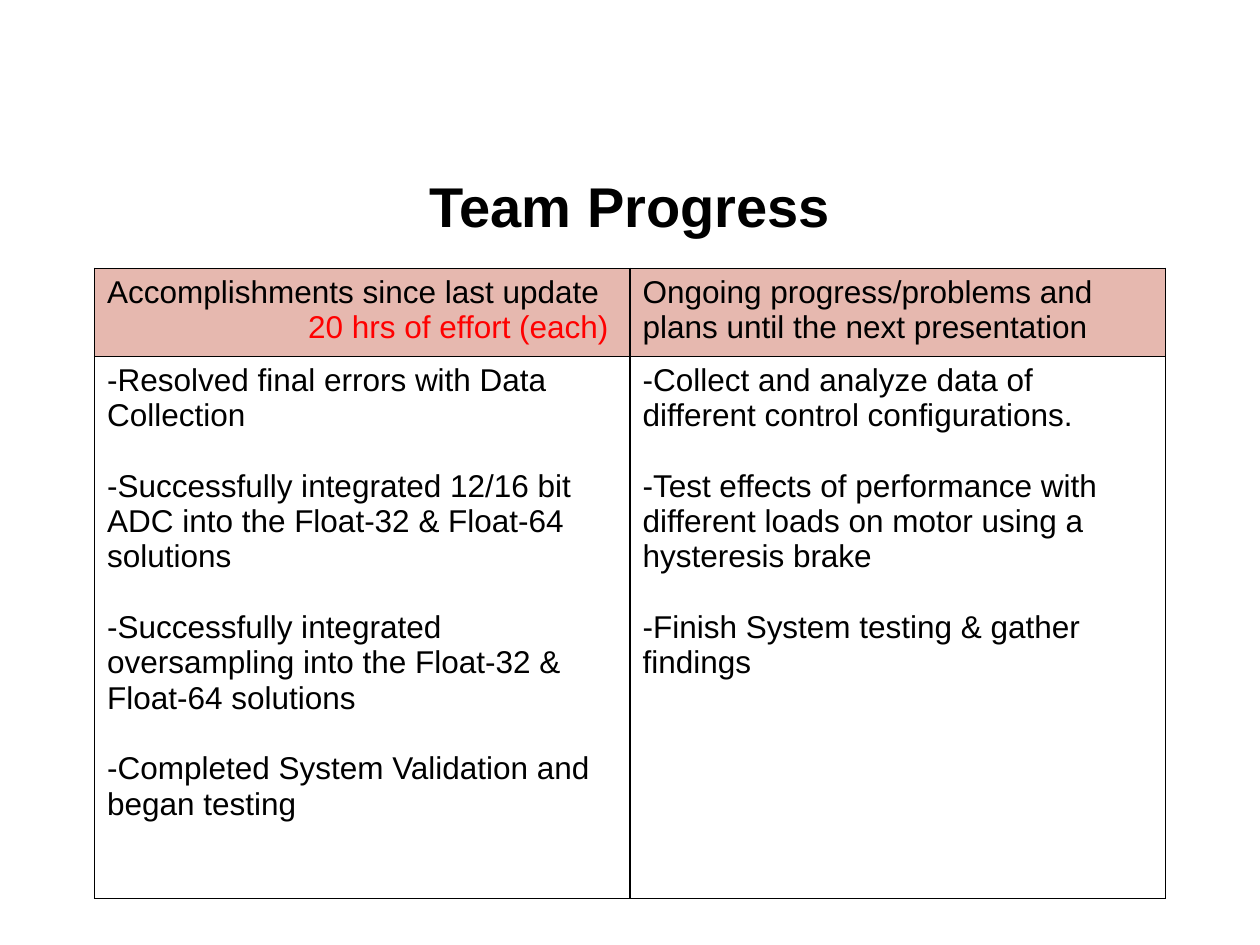
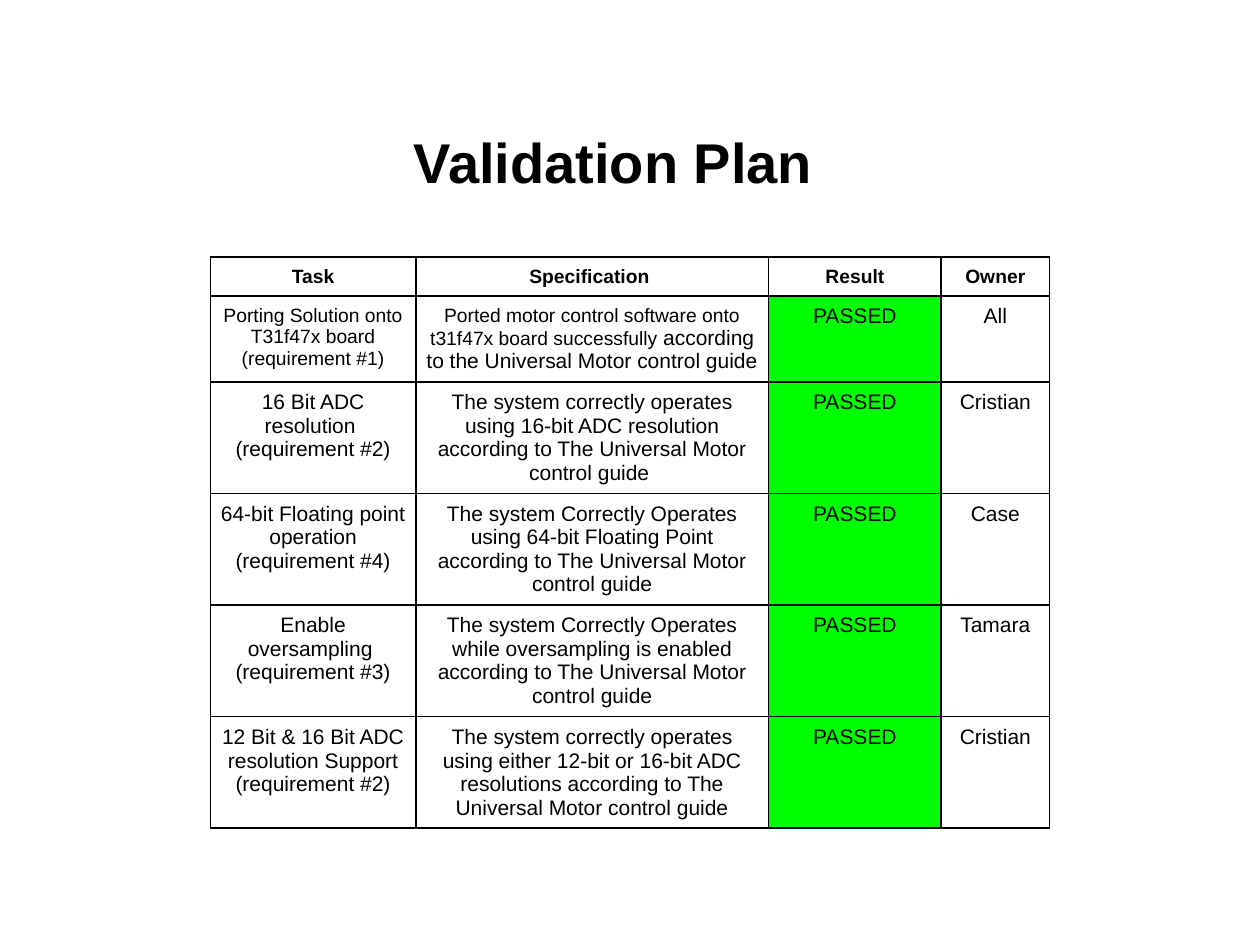
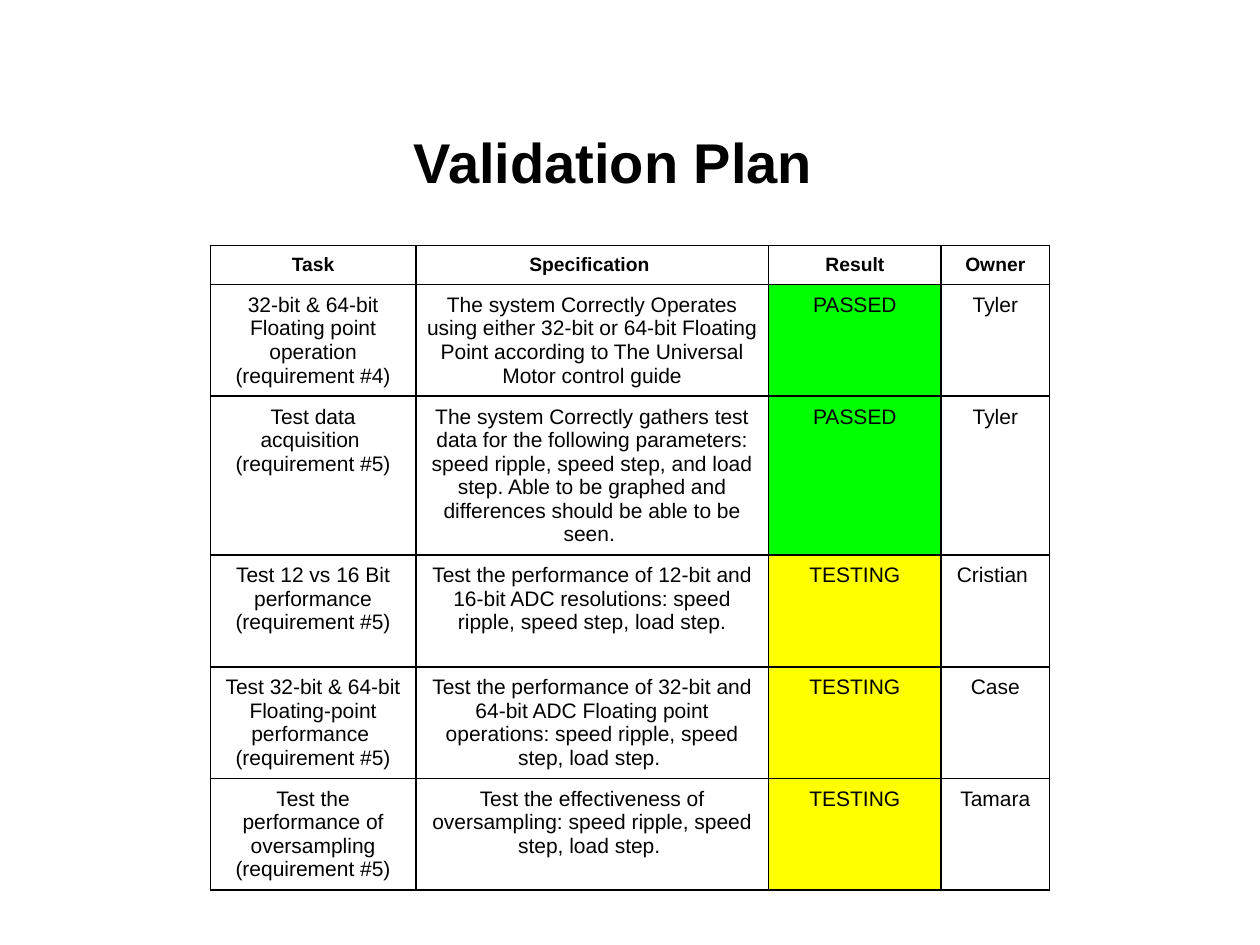
"""Build three project status slides: team progress and the validation plan."""
from dataclasses import dataclass

from lxml import etree
from pptx import Presentation
from pptx.dml.color import RGBColor
from pptx.enum.text import MSO_ANCHOR, PP_ALIGN
from pptx.oxml.ns import qn
from pptx.util import Inches, Pt

LEFT, CENTER, RIGHT = PP_ALIGN.LEFT, PP_ALIGN.CENTER, PP_ALIGN.RIGHT
MIDDLE = MSO_ANCHOR.MIDDLE
TITLE_ONLY = 5
FONT = "Arial"
COLORS = {
    "text": "000000",
    "border": "000000",
    "effort": "FF0000",
    "heading": "E6B8AF",
    "PASSED": "00FF00",
    "TESTING": "FFFF00",
}
PLAN_COLUMNS = [1.63, 2.8, 1.37, 0.86]
PLAN_HEADINGS = ["Task", "Specification ", "Result", "Owner"]
PLAN_MARGIN = 5 / 72
HEADING_HEIGHT = 0.3

ACCOMPLISHMENTS = [
    "-Resolved final errors with Data Collection",
    "-Successfully integrated 12/16 bit ADC into the Float-32 & Float-64 solutions",
    "-Successfully integrated oversampling into the Float-32 & Float-64 solutions",
    "-Completed System Validation and began testing",
]
ONGOING = [
    "-Collect and analyze data of different control configurations.",
    "-Test effects of performance with different loads on motor using a hysteresis brake",
    "-Finish System testing & gather findings",
]


@dataclass
class Check:
    """One row of the validation plan; lead is small text before the specification."""
    task: str
    requirement: int
    specification: str
    result: str
    owner: str
    height: float = 0.88
    task_size: int = 12
    lead: str = ""


FIRST_CHECKS = [
    Check("Porting Solution onto T31f47x board", 1,
          "according to the Universal Motor control guide ", "PASSED", "All",
          height=0.68, task_size=11,
          lead="Ported motor control software onto t31f47x board successfully "),
    Check("16 Bit ADC resolution ", 2,
          "The system correctly operates using 16-bit ADC resolution "
          "according to The Universal Motor control guide ", "PASSED", "Cristian"),
    Check("64-bit Floating point operation", 4,
          "The system Correctly Operates using 64-bit Floating Point "
          "according to The Universal Motor control guide", "PASSED", "Case"),
    Check("Enable oversampling ", 3,
          "The system Correctly Operates while oversampling is enabled "
          "according to The Universal Motor control guide", "PASSED", "Tamara"),
    Check("12 Bit & 16 Bit ADC resolution Support", 2,
          "The system correctly operates using either 12-bit or 16-bit ADC resolutions "
          "according to The Universal Motor control guide", "PASSED", "Cristian"),
]
LATER_CHECKS = [
    Check("32-bit & 64-bit Floating point operation", 4,
          "The system Correctly Operates using either 32-bit or 64-bit Floating Point "
          "according to The Universal Motor control guide", "PASSED", "Tyler"),
    Check("Test data acquisition ", 5,
          "The system Correctly gathers test data for the following parameters: "
          "speed ripple, speed step, and load step. Able to be graphed and "
          "differences should be able to be seen. ", "PASSED", "Tyler", height=1.25),
    Check("Test 12 vs 16 Bit performance", 5,
          "Test the performance of 12-bit and 16-bit ADC resolutions: "
          "speed ripple, speed step, load step.", "TESTING", "Cristian ", height=0.89),
    Check("Test 32-bit & 64-bit Floating-point performance ", 5,
          "Test the performance of 32-bit and 64-bit ADC Floating point operations: "
          "speed ripple, speed step, load step. ", "TESTING", "Case"),
    Check("Test the performance of oversampling", 5,
          "Test the effectiveness of oversampling: speed ripple, speed step, load step. ",
          "TESTING", "Tamara"),
]


def add_span(para, text, size=12, bold=False, color="text", align=CENTER):
    """Append formatted text to a paragraph."""
    para.alignment = align
    span = para.add_run()
    span.text = text
    span.font.name = FONT
    span.font.size = Pt(size)
    span.font.bold = bold
    span.font.color.rgb = RGBColor.from_string(COLORS[color])


def write_lines(frame, lines, gap=0, **style):
    """Write one paragraph per line, with a gap in points between them."""
    for index, line in enumerate(lines):
        para = frame.add_paragraph() if index else frame.paragraphs[0]
        if index and gap:
            para.space_before = Pt(gap)
        add_span(para, line, **style)


def add_page(deck, title, left, top, line_spacing=1.0):
    """Add a slide with a placed and formatted title."""
    page = deck.slides.add_slide(deck.slide_layouts[TITLE_ONLY])
    box = page.shapes.title
    box.left, box.top = Inches(left), Inches(top)
    box.width, box.height = Inches(9), Inches(0.88)
    box.text_frame.vertical_anchor = MIDDLE
    para = box.text_frame.paragraphs[0]
    para.line_spacing = line_spacing
    add_span(para, title, size=32, bold=True)
    return page


def add_border(cell):
    """Draw a thin line on all four sides of a cell."""
    properties = cell._tc.get_or_add_tcPr()
    for side in ("a:lnL", "a:lnR", "a:lnT", "a:lnB"):
        line = etree.SubElement(properties, qn(side), w=str(Pt(1)))
        fill = etree.SubElement(line, qn("a:solidFill"))
        etree.SubElement(fill, qn("a:srgbClr"), val=COLORS["border"])


def fill_cell(cell, color):
    """Fill a cell with a named colour."""
    cell.fill.solid()
    cell.fill.fore_color.rgb = RGBColor.from_string(COLORS[color])


def add_grid(page, left, top, widths, heights, margin=None):
    """Add a bordered, unfilled table and return it."""
    frame = page.shapes.add_table(len(heights), len(widths), Inches(left), Inches(top),
                                  Inches(sum(widths)), Inches(sum(heights)))
    table = frame.table
    table.first_row = table.horz_banding = False
    for column, width in zip(table.columns, widths):
        column.width = Inches(width)
    for row, height in zip(table.rows, heights):
        row.height = Inches(height)
    for cell in table.iter_cells():
        add_border(cell)
        cell.fill.background()
        if margin is not None:
            cell.margin_left = cell.margin_right = Inches(margin)
            cell.margin_top = cell.margin_bottom = Inches(margin)
    return table


def add_progress_page(deck):
    """Add the slide on finished and ongoing work."""
    page = add_page(deck, "Team Progress", 0.5, 1.15, line_spacing=1.15)
    table = add_grid(page, 0.75, 2.13, [4.25, 4.25], [0.7, 4.3])
    headings = ["Accomplishments since last update",
                "Ongoing progress/problems and plans until the next presentation"]
    for column, (heading, items) in enumerate(zip(headings, [ACCOMPLISHMENTS, ONGOING])):
        cell = table.cell(0, column)
        fill_cell(cell, "heading")
        write_lines(cell.text_frame, [heading], size=18, align=LEFT)
        write_lines(table.cell(1, column).text_frame, items, gap=20.25, size=18, align=LEFT)
    effort_cell = table.cell(0, 0)
    effort_cell.margin_right = Inches(0.17)
    add_span(effort_cell.text_frame.add_paragraph(), "20 hrs of effort (each)",
             size=18, color="effort", align=RIGHT)


def add_plan_page(deck, checks, top):
    """Add a slide with a table of validation checks."""
    page = add_page(deck, "Validation Plan ", 0.43, 0.84)
    heights = [HEADING_HEIGHT] + [check.height for check in checks]
    table = add_grid(page, 1.67, top, PLAN_COLUMNS, heights, margin=PLAN_MARGIN)
    for column, heading in enumerate(PLAN_HEADINGS):
        write_lines(table.cell(0, column).text_frame, [heading], size=11, bold=True)
    for row, check in enumerate(checks, start=1):
        task, specification, result, owner = (
            table.cell(row, column) for column in range(len(PLAN_COLUMNS)))
        write_lines(task.text_frame, [check.task, f"(requirement #{check.requirement})"],
                    size=check.task_size)
        para = specification.text_frame.paragraphs[0]
        if check.lead:
            add_span(para, check.lead, size=11)
        add_span(para, check.specification)
        write_lines(result.text_frame, [check.result])
        fill_cell(result, check.result)
        write_lines(owner.text_frame, [check.owner])


def main():
    """Build and save the deck."""
    deck = Presentation()
    deck.slide_width, deck.slide_height = Inches(10), Inches(7.5)
    add_progress_page(deck)
    add_plan_page(deck, FIRST_CHECKS, 2.04)
    add_plan_page(deck, LATER_CHECKS, 1.95)
    deck.save("out.pptx")


if __name__ == "__main__":
    main()
